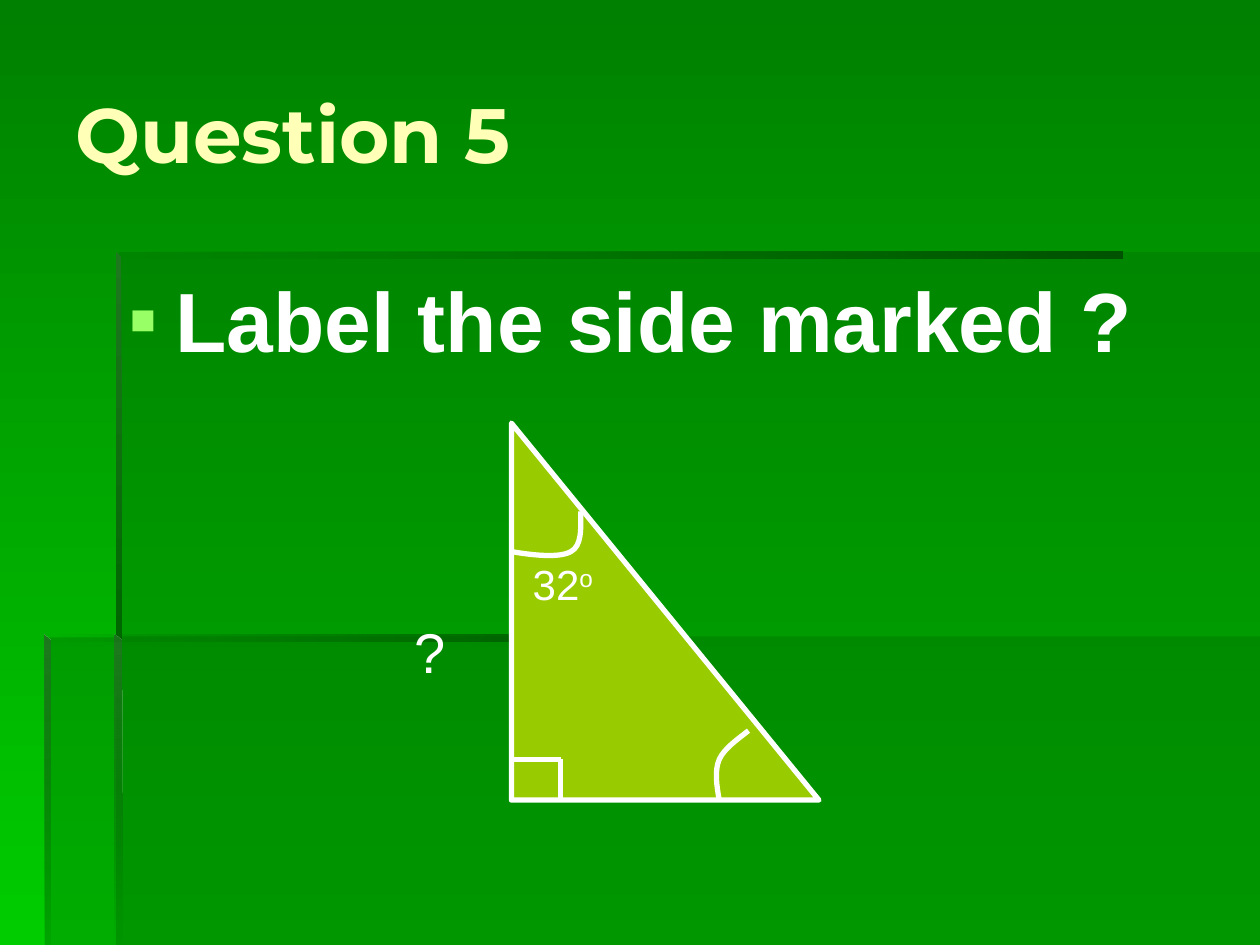
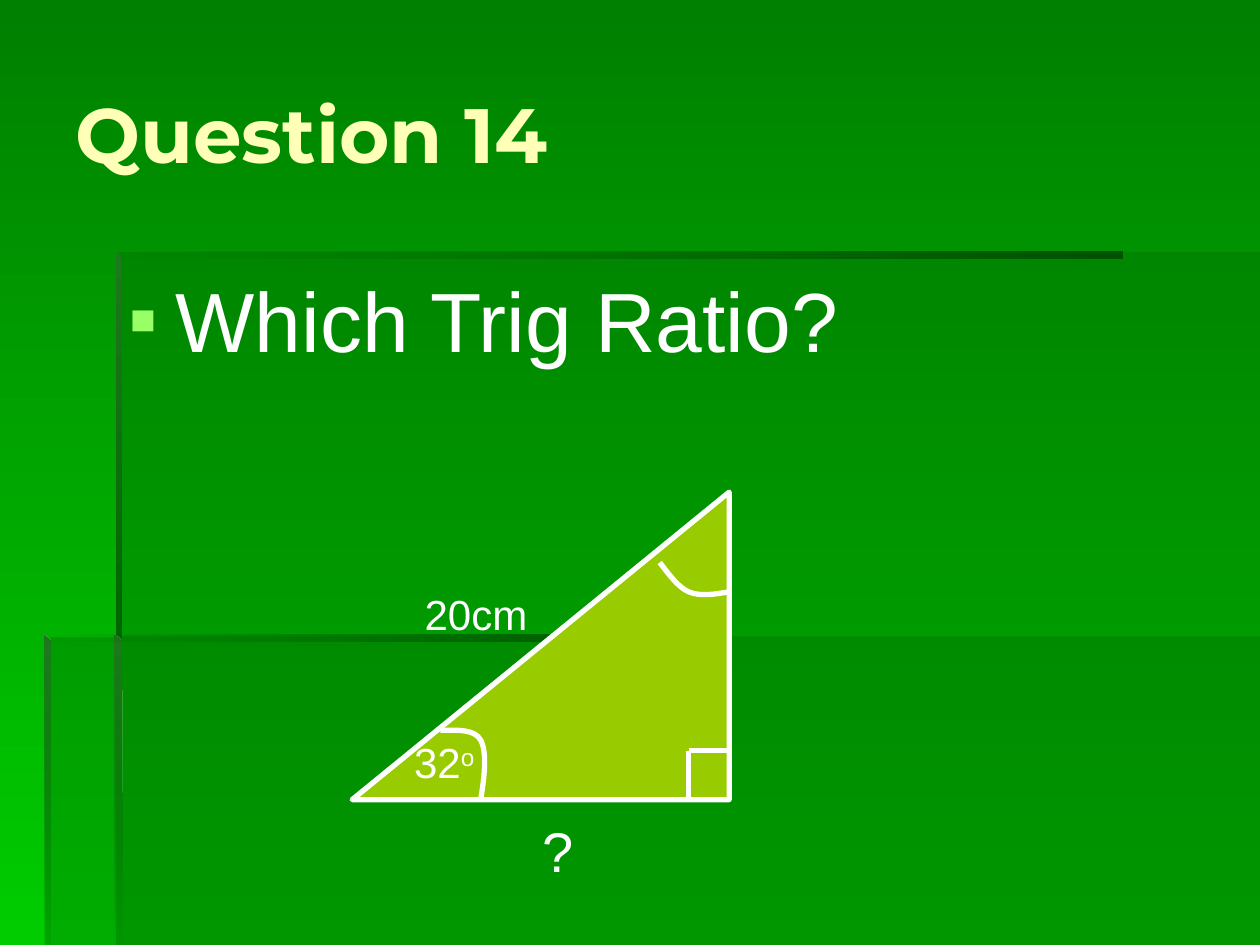
from lxml import etree
from pptx import Presentation
from pptx.dml.color import RGBColor
from pptx.enum import shapes, text
from pptx.oxml import ns
from pptx.util import Cm, Pt

WHITE = RGBColor(0xFF, 0xFF, 0xFF)
CREAM = RGBColor(0xFF, 0xFF, 0xB7)
LIME = RGBColor(0x99, 0xCC, 0x00)
BULLET = RGBColor(0x99, 0xFF, 0x66)
TOP_GREEN = RGBColor(0x00, 0x80, 0x00)
BOTTOM_GREEN = RGBColor(0x00, 0xCC, 0x00)
PANEL = RGBColor(0x00, 0x66, 0x00)
DEEP = RGBColor(0x00, 0x53, 0x00)
EDGE = RGBColor(0x1E, 0x78, 0x1E)

DOWN, LEFTWARD = 270, 180
HALF_WIDTH, HALF_HEIGHT = 3.1, 3.8

PANELS = [
    [(2.34, 12.83), (2.34, 19.05), (25.4, 19.05), (25.4, 12.83)],
    [(2.39, 12.85), (0.91, 12.85), (0.91, 19.05), (25.4, 19.05), (25.4, 5.08), (2.39, 5.08)],
]
BEVELS = [
    ([(2.34, 5.08), (2.34, 5.21), (22.63, 5.21), (22.63, 5.08)], DEEP, LEFTWARD, 0),
    ([(2.34, 5.08), (2.34, 12.95), (2.46, 12.95), (2.44, 5.18)], EDGE, DOWN, 100),
    ([(2.31, 19.05), (2.46, 19.05), (2.44, 12.9), (2.31, 12.8)], EDGE, DOWN, 0),
    ([(0.89, 12.8), (0.89, 12.93), (13.59, 12.93), (13.59, 12.8)], DEEP, LEFTWARD, 0),
    ([(0.89, 12.8), (0.89, 19.05), (1.02, 19.05), (1.02, 12.93)], EDGE, DOWN, 10),
]
TOP_ARC = [(-3.1, -1.21), (-2.64, -1.13), (-2.13, -1.08), (-1.9, -1.21),
           (-1.68, -1.33), (-1.7, -1.66), (-1.7, -2.02)]
SIDE_ARC = [(1.68, 2.4), (1.45, 2.58), (1.19, 2.76), (1.09, 2.98),
            (0.99, 3.21), (1.04, 3.52), (1.09, 3.8)]
RIGHT_ANGLE = [(-3.1, 2.98), (-2.11, 2.98), (-2.11, 3.8)]


class Quiz:
    """Holds the quiz style and draws on the current slide."""

    def __init__(self):
        self.deck = Presentation()
        self.deck.slide_width, self.deck.slide_height = Cm(25.4), Cm(19.05)
        self.gradient(self.deck.slide_master.background.fill, TOP_GREEN, BOTTOM_GREEN, DOWN)

    def gradient(self, fill, start, end, angle):
        fill.gradient()
        fill.gradient_angle = angle
        for stop, position, colour in zip(fill.gradient_stops, (0, 1), (start, end)):
            stop.position, stop.color.rgb = position, colour

    def opacity(self, shape, percent):
        colour = list(shape._element.spPr.iter(ns.qn("a:srgbClr")))[-1]
        etree.SubElement(colour, ns.qn("a:alpha"), val=str(percent * 1000))

    def outline(self, points, close=True):
        (x, y), *rest = [(Cm(x), Cm(y)) for x, y in points]
        builder = self.slide.shapes.build_freeform(x, y)
        builder.add_line_segments(rest, close=close)
        shape = builder.convert_to_shape()
        shape.shadow.inherit = False
        return shape

    def white_line(self, shape):
        shape.line.color.rgb, shape.line.width = WHITE, Pt(3)

    def arc(self, points):
        arc = self.outline(points, close=False)
        arc.fill.background()
        self.white_line(arc)
        steps = list(arc._element.iter(ns.qn("a:lnTo")))
        for first, second, third in zip(*[iter(steps)] * 3):
            first.tag = ns.qn("a:cubicBezTo")
            for step in (second, third):
                first.append(step[0])
                step.getparent().remove(step)

    def segment(self, start, end):
        ends = [Cm(length) for length in (*start, *end)]
        side = self.slide.shapes.add_connector(shapes.MSO_CONNECTOR.STRAIGHT, *ends)
        self.white_line(side)
        etree.SubElement(side._element.spPr, ns.qn("a:effectLst"))

    def triangle(self, x, y, turned=False):
        def place(points):
            return [(x + dy, y - dx) if turned else (x + dx, y + dy) for dx, dy in points]

        body = self.slide.shapes.add_shape(
            shapes.MSO_SHAPE.RIGHT_TRIANGLE, Cm(x - HALF_WIDTH), Cm(y - HALF_HEIGHT),
            Cm(2 * HALF_WIDTH), Cm(2 * HALF_HEIGHT))
        body.rotation = 270 if turned else 0
        body.shadow.inherit = False
        body.fill.solid()
        body.fill.fore_color.rgb = LIME
        self.white_line(body)
        for arc in (TOP_ARC, SIDE_ARC):
            self.arc(place(arc))
        corner = place(RIGHT_ANGLE)
        for start, end in zip(corner, corner[1:]):
            self.segment(start, end)

    def words(self, wording, box, size, colour=WHITE, font="Arial", bold=False,
              bullet=False, raised=""):
        frame = self.slide.shapes.add_textbox(*[Cm(length) for length in box]).text_frame
        frame.word_wrap = True
        paragraph = frame.paragraphs[0]
        paragraph.add_run().text = wording
        if raised:
            power = paragraph.add_run()
            power.text = raised
            power._r.get_or_add_rPr().set("baseline", "30000")
        if bullet:
            indent = paragraph._p.get_or_add_pPr()
            indent.set("marL", str(Cm(0.95)))
            indent.set("indent", str(Cm(-0.95)))
            tint = etree.SubElement(indent, ns.qn("a:buClr"))
            etree.SubElement(tint, ns.qn("a:srgbClr"), val=str(BULLET))
            etree.SubElement(indent, ns.qn("a:buFont"), typeface="Arial")
            etree.SubElement(indent, ns.qn("a:buChar"), char="▪")
        style = paragraph.font
        style.name, style.size, style.bold = font, Pt(size), bold
        style.color.rgb = colour
        return frame

    def label(self, wording, x, y, width, size=24, raised=""):
        frame = self.words(wording, (x, y, width, 1.27 * size / 24), size, raised=raised)
        frame.auto_size = text.MSO_AUTO_SIZE.SHAPE_TO_FIT_TEXT

    def question(self, number, prompt, bold=False):
        self.slide = self.deck.slides.add_slide(self.deck.slide_layouts[6])
        for points in PANELS:
            panel = self.outline(points)
            panel.fill.solid()
            panel.fill.fore_color.rgb = PANEL
            panel.line.fill.background()
            self.opacity(panel, 30)
        for points, start, angle, percent in BEVELS:
            bevel = self.outline(points)
            self.gradient(bevel.fill, start, PANEL, angle)
            bevel.line.fill.background()
            self.opacity(bevel, percent)
        title = self.words(f"Question {number}", (1.27, 0.69, 23.29, 3.99), 44, CREAM,
                           "Montserrat", bold=True)
        title.vertical_anchor = text.MSO_ANCHOR.MIDDLE
        self.words(prompt, (2.34, 5.28, 22.25, 11.63), 48, bold=bold, bullet=True)


def main():
    quiz = Quiz()

    quiz.question(5, "Label the side marked ?", bold=True)
    quiz.triangle(13.41, 12.33)
    quiz.label("32", 10.49, 11.13, 2.21, raised="o")
    quiz.label("?", 8.1, 12.32, 1.6, size=32)

    quiz.question(14, "Which Trig Ratio?")
    quiz.triangle(10.9, 13.02, turned=True)
    quiz.label("20cm", 8.31, 11.73, 3.2)
    quiz.label("32", 8.1, 14.73, 2.21, raised="o")
    quiz.label("?", 10.69, 16.33, 1.6, size=32)

    quiz.deck.save("out.pptx")


if __name__ == "__main__":
    main()
